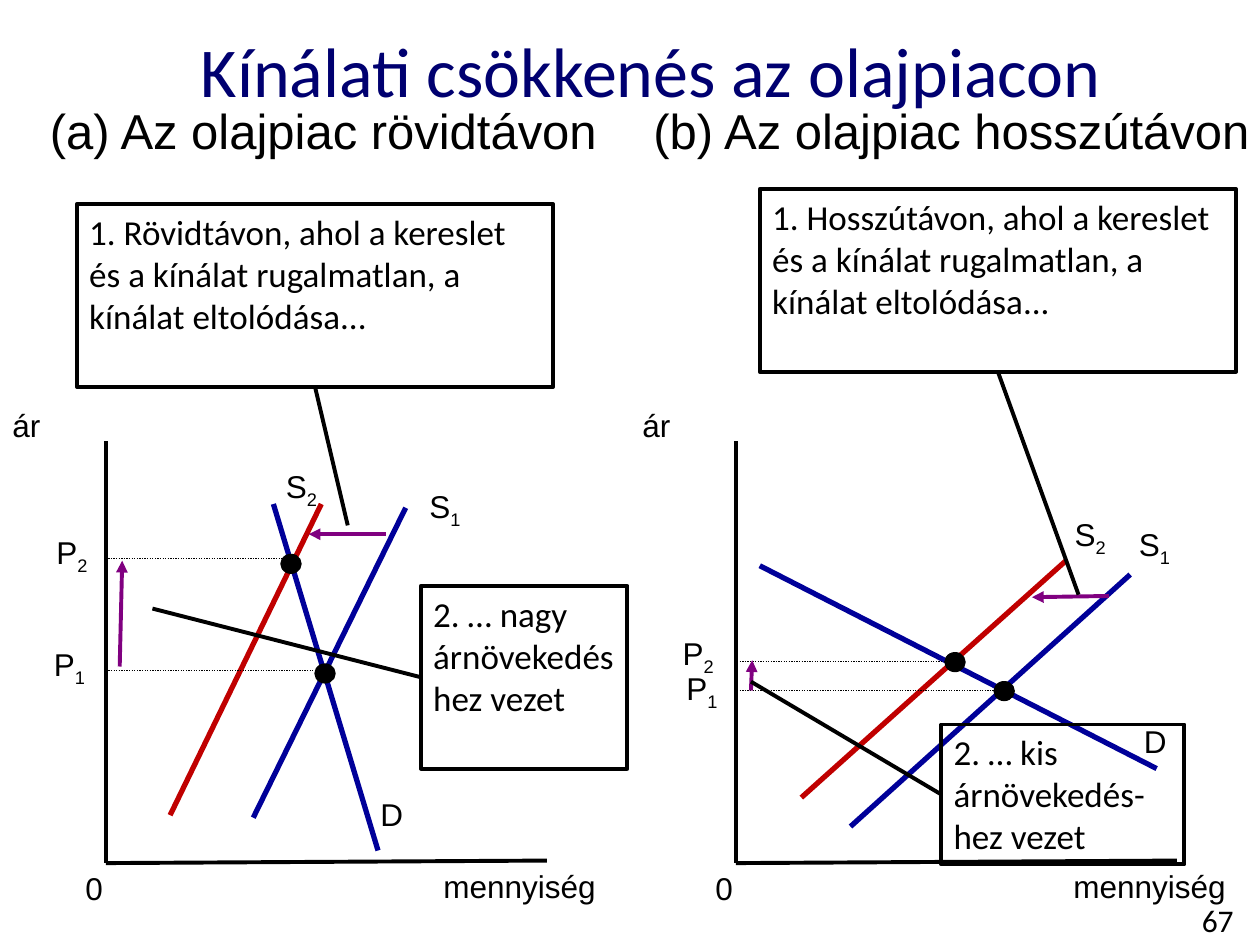
from pptx import Presentation
from pptx.dml.color import RGBColor
from pptx.enum.dml import MSO_LINE_DASH_STYLE as Dash
from pptx.enum.shapes import MSO_CONNECTOR_TYPE as Link, MSO_SHAPE as Shape
from pptx.enum.text import MSO_AUTO_SIZE as Fit, MSO_ANCHOR as Anchor, PP_ALIGN as Align
from pptx.oxml import parse_xml
from pptx.oxml.ns import nsdecls, qn
from pptx.util import Pt

PX = 9144  # 100 px to the inch

BLACK = RGBColor(0x00, 0x00, 0x00)
NAVY = RGBColor(0x00, 0x00, 0x70)
BLUE = RGBColor(0x00, 0x00, 0x99)
RED = RGBColor(0xC0, 0x00, 0x00)
PURPLE = RGBColor(0x80, 0x00, 0x80)

LABEL = {"name": "Arial", "size": Pt(18)}
HEAD = {"name": "Arial", "size": Pt(28)}
NOTE = {"name": "Calibri", "size": Pt(20)}
PAGE = {"name": "Calibri", "size": Pt(18)}
TITLE = {"name": "Calibri", "size": Pt(40)}

# Points are relative to the top of each price axis.
SHORT = {
    "head": ("(a) Az olajpiac rövidtávon", (-88, -275, 521, 64)),
    "curves": [
        ("D", BLUE, (133, 50, 216, 325), (208, 276)),
        ("S1", BLUE, (238, 53, 117, 299), (247, 32)),
        ("S2", RED, (171, 50, 51, 297), (133, 16)),
    ],
    "prices": [
        ("P2", (2, 93, 150, 93), (-49, 68)),
        ("P1", (0, 182, 175, 182), (-51, 157)),
    ],
    "dots": [(139, 90), (166, 177)],
    "arrows": [(222, 74, 161, 74), (11, 179, 13, 95)],
    "notes": [
        ("1. Rövidtávon, ahol a kereslet és a kínálat rugalmatlan, a kínálat eltolódása...",
         (-23, -188, 378, 145), 2, (192, 67)),
        ("2. … nagy árnövekedéshez vezet", (250, 115, 164, 145), 1, (37, 133)),
    ],
}
LONG = {
    "head": ("(b) Az olajpiac hosszútávon", (-112, -275, 566, 64)),
    "curves": [
        ("D", BLUE, (19, 99, 334, 260), (314, 218)),
        ("S1", BLUE, (313, 106, 91, 306), (310, 62)),
        ("S2", RED, (262, 95, 52, 283), (259, 54)),
    ],
    "prices": [
        ("P2", (-1, 175, 170, 175), (-52, 148)),
        ("P1", (1, 198, 213, 198), (-49, 176)),
    ],
    "dots": [(166, 168), (205, 191)],
    "arrows": [(296, 123, 235, 124), (12, 198, 13, 174)],
    "notes": [
        ("1. Hosszútávon, ahol a kereslet és a kínálat rugalmatlan, a kínálat eltolódása...",
         (19, -200, 378, 145), 2, (272, 122)),
        ("2. … kis árnövekedés-hez vezet", (163, 225, 193, 111), 1, (12, 191)),
    ],
}


def emu(vals):
    return [v * PX for v in vals]


def shift(org, vals):
    """Move x, y pairs, or the corner of a box, by the origin."""
    return [v + org[i % 2] for i, v in enumerate(vals)]


def place(org, box):
    return shift(org, box[:2]) + list(box[2:])


def style(obj, fmt):
    for key, val in fmt.items():
        setattr(obj, key, val)


def add_run(para, text, fmt, color):
    run = para.add_run()
    run.text = text
    style(run.font, fmt)
    run.font.color.rgb = color
    return run


def add_text(slide, text, box, fmt, color=BLACK, align=Align.CENTER):
    frame = slide.shapes.add_textbox(*emu(box)).text_frame
    frame.word_wrap = True
    para = frame.paragraphs[0]
    para.alignment = align
    add_run(para, text, fmt, color)


def add_label(slide, text, box):
    """Add a chart label; a closing digit after a letter is a subscript."""
    frame = slide.shapes.add_textbox(*emu(box)).text_frame
    style(frame, {"word_wrap": False, "auto_size": Fit.SHAPE_TO_FIT_TEXT})
    para = frame.paragraphs[0]
    base, sub = (text[0], text[1:]) if text[1:].isdigit() else (text, "")
    add_run(para, base, LABEL, BLACK)
    if sub:
        run = add_run(para, sub, LABEL, BLACK)
        run.font._element.set("baseline", "-25000")


def add_line(slide, ends, color=BLACK, width=2.25, dash=None, arrow=False):
    line = slide.shapes.add_connector(Link.STRAIGHT, *emu(ends))
    style(line.line, {"width": Pt(width), "dash_style": dash})
    line.line.color.rgb = color
    props = line._element.spPr
    if arrow:
        tip = parse_xml(f'<a:tailEnd {nsdecls("a")} type="triangle"/>')
        props.find(qn("a:ln")).append(tip)
    props.append(parse_xml(f'<a:effectLst {nsdecls("a")}/>'))
    return line


def add_dot(slide, box):
    dot = slide.shapes.add_shape(Shape.OVAL, *emu(box))
    dot.shadow.inherit = False
    dot.fill.solid()
    dot.fill.fore_color.rgb = BLACK
    dot.line.color.rgb = BLACK
    dot.line.width = Pt(0.75)


def add_note(slide, text, box, side, end):
    """Add a framed note with a leader from one side to a point."""
    note = slide.shapes.add_shape(Shape.RECTANGLE, *emu(box))
    note.shadow.inherit = False
    note.fill.background()
    note.line.color.rgb = BLACK
    note.line.width = Pt(2.25)
    frame = note.text_frame
    style(frame, {"word_wrap": True, "vertical_anchor": Anchor.TOP})
    para = frame.paragraphs[0]
    para.alignment = Align.LEFT
    add_run(para, text, NOTE, BLACK)
    lead = add_line(slide, (*box[:2], *end))
    lead.begin_connect(note, side)


def add_panel(slide, box, data):
    """Draw one market: axes, curves, price levels, arrows and notes."""
    org, (wide, high) = box[:2], box[2:]
    text, area = data["head"]
    add_text(slide, text, place(org, area), HEAD)
    for ends in ((0, 0, 0, high), (0, high, wide, high - 2)):
        add_line(slide, shift(org, ends))
    for text, area in (
        ("ár", (-84, -33, 50, 40)),
        ("mennyiség", (wide - 92, high - 2, 149, 40)),
        ("0", (-26, high, 34, 40)),
    ):
        add_label(slide, text, place(org, area))
    for text, color, ends, spot in data["curves"]:
        add_line(slide, shift(org, ends), color, 3)
        add_label(slide, text, place(org, (*spot, 46 if text[1:] else 38, 40)))
    for text, ends, spot in data["prices"]:
        add_line(slide, shift(org, ends), width=0.75, dash=Dash.ROUND_DOT)
        add_label(slide, text, place(org, (*spot, 46, 40)))
    for spot in data["dots"]:
        add_dot(slide, place(org, (*spot, 16, 15)))
    for ends in data["arrows"]:
        add_line(slide, shift(org, ends), PURPLE, arrow=True)
    for text, area, side, end in data["notes"]:
        add_note(slide, text, place(org, area), side, shift(org, end))


def main():
    deck = Presentation()
    style(deck, {"slide_width": 1000 * PX, "slide_height": 750 * PX})
    slide = deck.slides.add_slide(deck.slide_layouts[6])
    add_text(slide, "Kínálati csökkenés az olajpiacon", (33, 17, 967, 58), TITLE, NAVY)
    for i, data in enumerate((SHORT, LONG)):
        add_panel(slide, (84 + 500 * i, 350, 350, 335), data)
    add_text(slide, "67", (933, 710, 67, 40), PAGE)
    deck.save("out.pptx")


if __name__ == "__main__":
    main()
